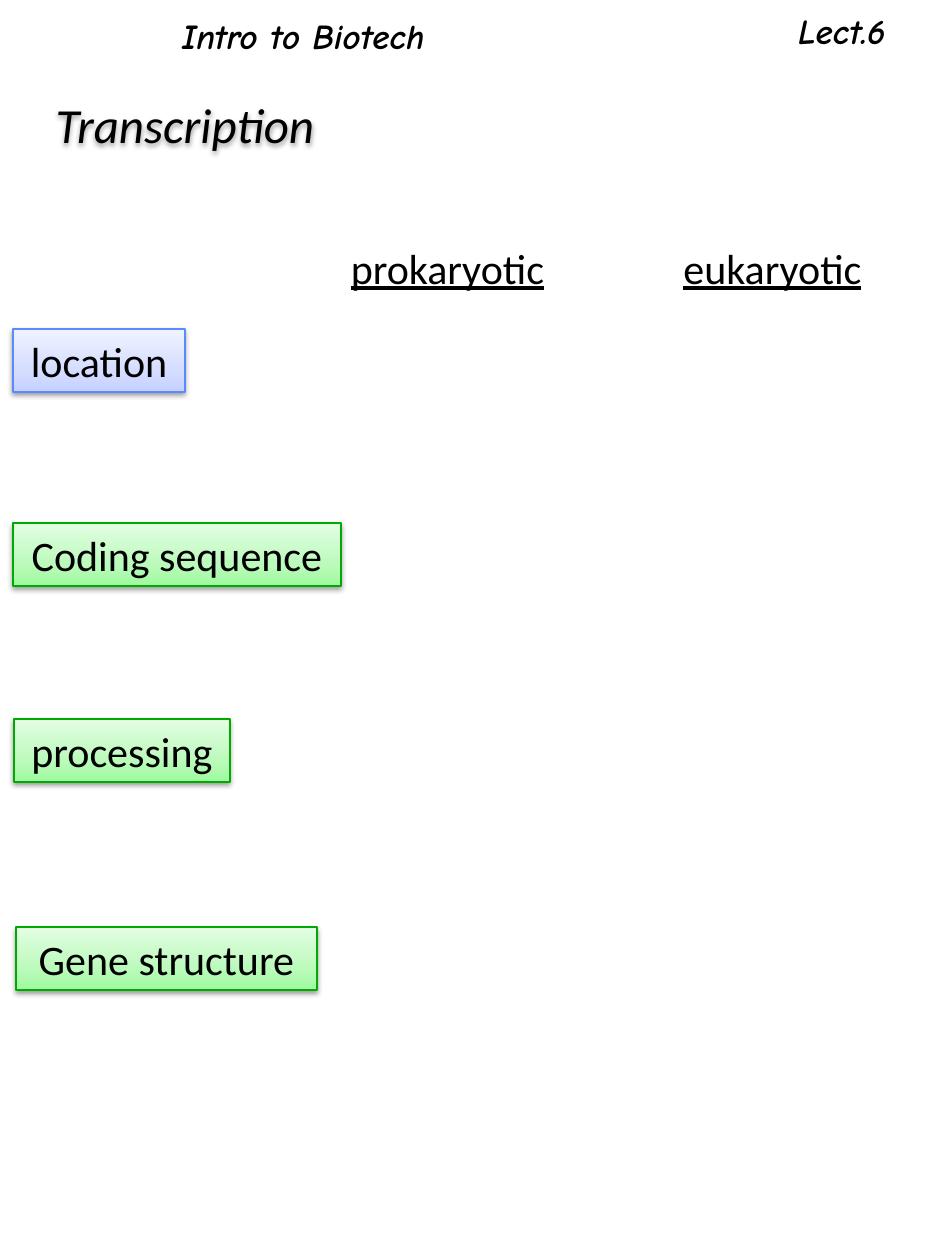
from copy import deepcopy
from dataclasses import dataclass

from lxml.etree import SubElement
from pptx import Presentation
from pptx.dml.color import RGBColor
from pptx.enum.shapes import MSO_SHAPE
from pptx.enum.text import MSO_ANCHOR, MSO_AUTO_SIZE, PP_ALIGN
from pptx.oxml.ns import qn
from pptx.util import Emu, Pt

PIXEL = 914400 // 126


@dataclass(frozen=True)
class Theme:
    text: str = "000000"
    body_font: str = "Calibri"
    header_font: str = "Comic Neue"
    header_size: int = 20
    title_size: int = 28
    label_size: int = 24
    # Line colour, then gradient stops from bottom to top
    blue: tuple = ("5B8AFB", "C4D0FF", "D6DEFF", "EFF2FF")
    green: tuple = ("00AA00", "9EFA9E", "BCFABC", "E4FEE4")
    stop_positions: tuple = (0, 0.35, 1)


def write_text(shape, text, font, size, color, align=PP_ALIGN.CENTER,
               bold=False, italic=False, underline=False):
    frame = shape.text_frame
    frame.word_wrap = False
    frame.auto_size = MSO_AUTO_SIZE.SHAPE_TO_FIT_TEXT
    frame.vertical_anchor = MSO_ANCHOR.TOP
    paragraph = frame.paragraphs[0]
    paragraph.alignment = align
    run = paragraph.add_run()
    run.text = text
    run.font.name = font
    run.font.size = Pt(size)
    run.font.color.rgb = RGBColor.from_string(color)
    run.font.bold = bold
    run.font.italic = italic
    run.font.underline = underline


class SlideBuilder:
    def __init__(self, slide, theme):
        self.slide = slide
        self.theme = theme

    def box(self, *pixels):
        return [Emu(value * PIXEL) for value in pixels]

    def shadow(self, shape):
        shape.shadow.inherit = False
        effects = shape._element.spPr.find(qn("a:effectLst"))
        outer = SubElement(effects, qn("a:outerShdw"), blurRad=str(Pt(3.1)),
                           dist=str(Pt(1.6)), dir="5400000", rotWithShape="0")
        color = SubElement(outer, qn("a:srgbClr"), val="000000")
        SubElement(color, qn("a:alpha"), val="38000")

    def title(self, text, *pixels):
        shape = self.slide.shapes.title
        shape.left, shape.top, shape.width, shape.height = self.box(*pixels)
        write_text(shape, text, self.theme.body_font, self.theme.title_size,
                   self.theme.text, align=PP_ALIGN.LEFT, italic=True)
        self.shadow(shape)

    def text(self, text, *pixels, font, size, **style):
        shape = self.slide.shapes.add_textbox(*self.box(*pixels))
        write_text(shape, text, font, size, self.theme.text, **style)

    def header(self, text, *pixels):
        self.text(text, *pixels, font=self.theme.header_font,
                  size=self.theme.header_size, bold=True, italic=True)

    def column_heading(self, text, *pixels):
        self.text(text, *pixels, font=self.theme.body_font,
                  size=self.theme.label_size, underline=True)

    def row_label(self, text, *pixels, colors):
        shape = self.slide.shapes.add_shape(MSO_SHAPE.RECTANGLE, *self.box(*pixels))
        line_color, *stop_colors = colors
        shape.fill.gradient()
        shape.fill.gradient_angle = 90
        last_stop = shape._element.spPr.findall(".//" + qn("a:gs"))[-1]
        last_stop.addnext(deepcopy(last_stop))
        for stop, position, color in zip(shape.fill.gradient_stops,
                                         self.theme.stop_positions, stop_colors):
            stop.position = position
            stop.color.rgb = RGBColor.from_string(color)
        shape.line.color.rgb = RGBColor.from_string(line_color)
        shape.line.width = Pt(0.75)
        self.shadow(shape)
        write_text(shape, text, self.theme.body_font, self.theme.label_size,
                   self.theme.text)


presentation = Presentation()
presentation.slide_width, presentation.slide_height = Emu(945 * PIXEL), Emu(1260 * PIXEL)
theme = Theme()
builder = SlideBuilder(presentation.slides.add_slide(presentation.slide_layouts[5]), theme)

# Page header and title
builder.header("Intro to Biotech", 150, 8, 307, 54)
builder.title("Transcription", 43, 88, 314, 72)
builder.header("Lect.6", 774, 3, 136, 54)

# Comparison columns
for heading, left, width in (("prokaryotic", 329, 237), ("eukaryotic", 663, 219)):
    builder.column_heading(heading, left, 236, width, 63)

# Comparison rows
for label, left, top, width, colors in (
    ("location", 13, 329, 172, theme.blue),
    ("Coding sequence", 13, 523, 328, theme.green),
    ("processing", 14, 719, 216, theme.green),
    ("Gene structure", 16, 927, 301, theme.green),
):
    builder.row_label(label, left, top, width, 63, colors=colors)

presentation.save("out.pptx")
